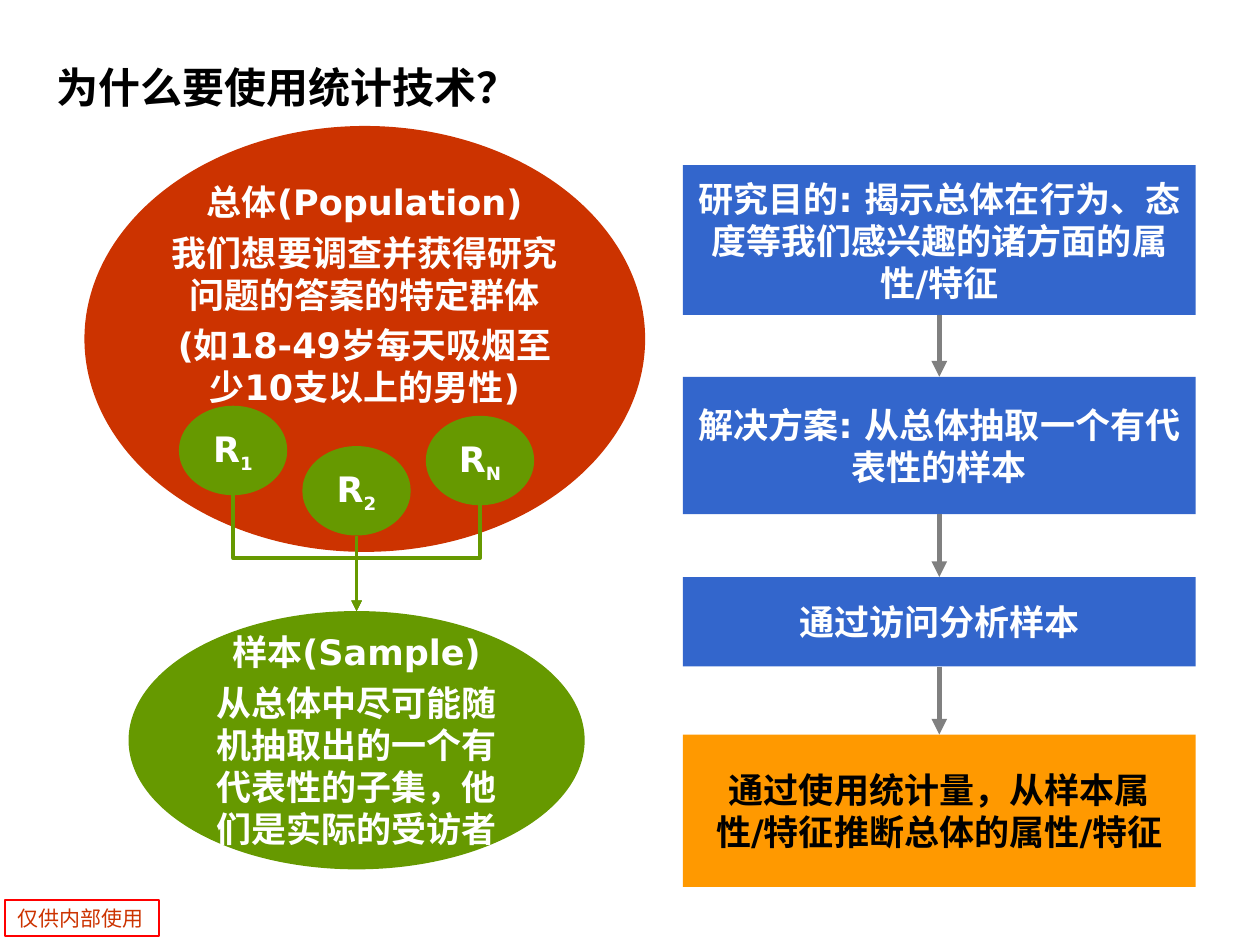
from lxml import etree
from pptx import Presentation
from pptx.dml.color import RGBColor
from pptx.enum.shapes import MSO_CONNECTOR, MSO_SHAPE
from pptx.enum.text import MSO_ANCHOR, PP_ALIGN
from pptx.oxml.ns import qn
from pptx.util import Inches, Pt

OVAL, RECT = MSO_SHAPE.OVAL, MSO_SHAPE.RECTANGLE
STRAIGHT, ELBOW = MSO_CONNECTOR.STRAIGHT, MSO_CONNECTOR.ELBOW
MIDDLE, CENTER, LEFT = MSO_ANCHOR.MIDDLE, PP_ALIGN.CENTER, PP_ALIGN.LEFT
COLORS = {
    "population": "CC3300", "sample": "669900", "step": "3366CC",
    "result": "FF9900", "arrow": "808080", "tag": "FF0000",
    "white": "FFFFFF", "black": "000000",
}
COLORS = {name: RGBColor.from_string(value) for name, value in COLORS.items()}

prs = Presentation()
prs.slide_width, prs.slide_height = Inches(10), Inches(7.5)
s = prs.slides.add_slide(prs.slide_layouts[5])


def add_box(kind, box, fill, paragraphs, color="white"):
    """Add a filled shape; each paragraph is a list of (text, is_subscript)."""
    sp = s.shapes.add_shape(kind, *map(Inches, box))
    sp.shadow.inherit = False
    sp.fill.solid()
    sp.fill.fore_color.rgb = COLORS[fill]
    sp.line.fill.background()
    tf = sp.text_frame
    tf.word_wrap = True
    tf.vertical_anchor = MIDDLE
    for i, runs in enumerate(paragraphs):
        p = tf.add_paragraph() if i else tf.paragraphs[0]
        p.alignment = CENTER
        if i:
            p.space_before = Pt(5)
        for text, is_subscript in runs:
            r = p.add_run()
            r.text = text
            r.font.name = "DejaVu Sans"
            r.font.size = Pt(18 if is_subscript else 20)
            r.font.bold = True
            r.font.color.rgb = COLORS[color]
            if is_subscript:
                r.font._element.set("baseline", "-25000")
    return sp


def add_arrow(kind, start, end, color, width):
    c = s.shapes.add_connector(kind, *map(Inches, start + end))
    c.line.color.rgb = COLORS[color]
    c.line.width = Pt(width)
    etree.SubElement(c.line._get_or_add_ln(), qn("a:tailEnd"), type="triangle")
    etree.SubElement(c._element.spPr, qn("a:effectLst"))
    return c


# Title
title = s.shapes.title
title.left, title.top, title.width, title.height = map(Inches, (0.35, 0.23, 9.45, 0.92))
title.text_frame.vertical_anchor = MIDDLE
p = title.text_frame.paragraphs[0]
p.alignment = LEFT
r = p.add_run()
r.text = "为什么要使用统计技术？"
r.font.name, r.font.size, r.font.bold = "Times New Roman", Pt(24), True
r.font.color.rgb = COLORS["black"]

# Internal-use tag
tag = s.shapes.add_textbox(*map(Inches, (0.04, 7.14, 1.22, 0.29)))
tag.line.color.rgb = COLORS["tag"]
tag.line.width = Pt(1)
tag.text_frame.word_wrap = True
r = tag.text_frame.paragraphs[0].add_run()
r.text = "仅供内部使用"
r.font.name, r.font.size = "Noto Sans CJK SC", Pt(12)
r.font.color.rgb = COLORS["population"]

# Population and sample
population = add_box(OVAL, (0.67, 1, 4.45, 3.38), "population", [
    [("总体(Population)", False)],
    [("我们想要调查并获得研究问题的答案的特定群体", False)],
    [("(如18-49岁每天吸烟至少10支以上的男性)", False)],
])
tf = population.text_frame
tf.margin_left = tf.margin_right = Inches(0.02)
tf.margin_top, tf.margin_bottom = Inches(0.04), Inches(0.75)

SAMPLE_X, SAMPLE_TOP = 2.83, 4.85
add_box(OVAL, (1.02, SAMPLE_TOP, 3.62, 2.05), "sample", [
    [("样本(Sample)", False)],
    [("从总体中尽可能随机抽取出的一个有代表性的子集，他们是实际的受访者", False)],
])

# Respondents, each drawn into the sample
R_W, R_H, R_PITCH, ELBOW_Y = 0.86, 0.71, 0.98, 4.43
for i, (index, top) in enumerate([("1", 3.22), ("2", 3.54), ("N", 3.3)]):
    x, bottom = SAMPLE_X + (i - 1) * R_PITCH, top + R_H
    add_box(OVAL, (x - R_W / 2, top, R_W, R_H), "sample",
            [[("R", False), (index, True)]])
    start, end = (x, bottom), (SAMPLE_X, SAMPLE_TOP)
    if x == SAMPLE_X:
        add_arrow(STRAIGHT, start, end, "sample", 2)
        continue
    # An elbow that leaves downwards is a horizontal one turned by 90 degrees
    run, drop = R_PITCH, SAMPLE_TOP - bottom
    mid_x, mid_y = (x + SAMPLE_X) / 2, (bottom + SAMPLE_TOP) / 2
    left, y = mid_x - drop / 2, mid_y - run / 2
    c = add_arrow(ELBOW, (left, y), (left + drop, y + run), "sample", 2)
    xfrm = c._element.spPr.find(qn("a:xfrm"))
    if x < SAMPLE_X:
        xfrm.set("rot", "16200000")
        xfrm.set("flipH", "1")
    else:
        xfrm.set("rot", "5400000")
    guides = c._element.spPr.find(qn("a:prstGeom")).get_or_add_avLst()
    share = round((ELBOW_Y - bottom) / drop * 100000)
    etree.SubElement(guides, qn("a:gd"), name="adj1", fmla=f"val {share}")

# Research steps
STEP_X, STEP_W = 5.42, 4.07
steps = [
    (1.31, 1.19, "step", "white", "研究目的: 揭示总体在行为、态度等我们感兴趣的诸方面的属性/特征"),
    (2.99, 1.09, "step", "white", "解决方案: 从总体抽取一个有代表性的样本"),
    (4.58, 0.71, "step", "white", "通过访问分析样本"),
    (5.83, 1.21, "result", "black", "通过使用统计量，从样本属性/特征推断总体的属性/特征"),
]
boxes = [add_box(RECT, (STEP_X, top, STEP_W, height), fill, [[(text, False)]], color)
         for top, height, fill, color, text in steps]
for above, below in zip(boxes, boxes[1:]):
    c = add_arrow(STRAIGHT, (0, 0), (0, 0), "arrow", 3)
    c.begin_connect(above, 2)
    c.end_connect(below, 0)

prs.save("out.pptx")
